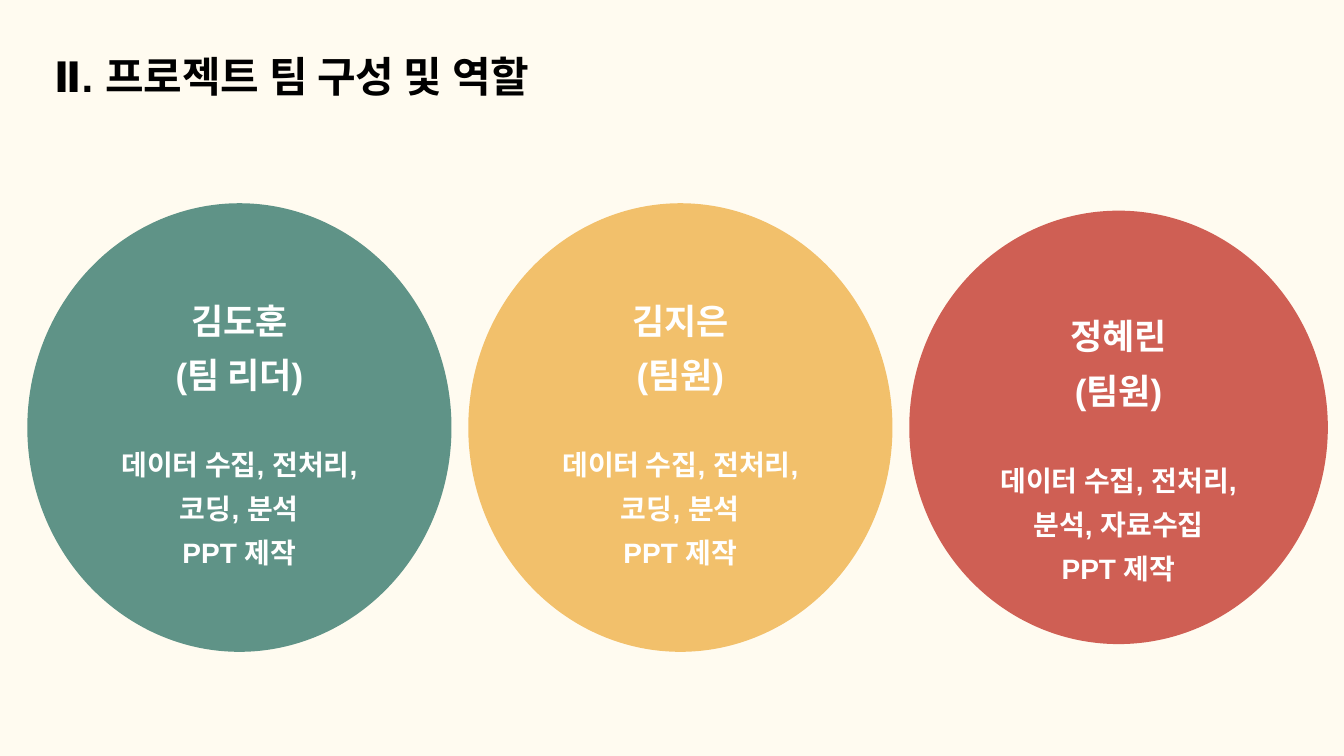
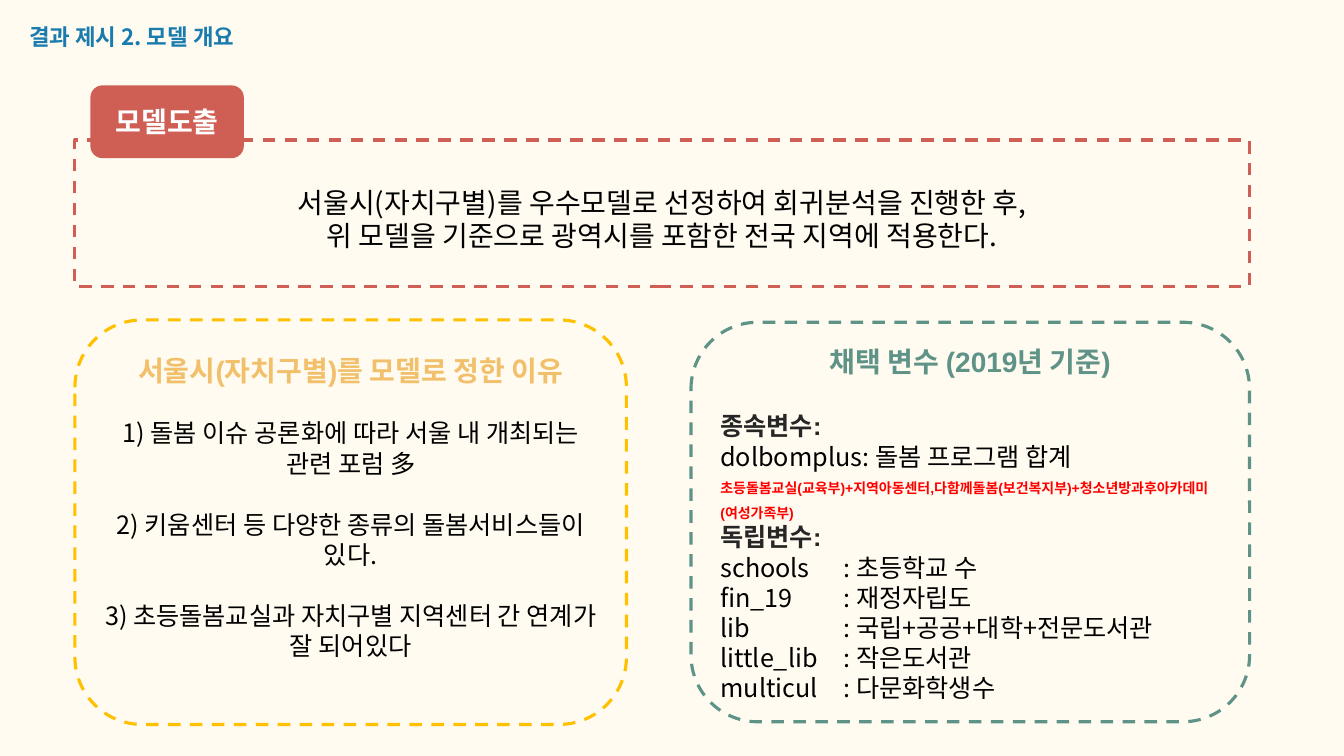
from dataclasses import dataclass

from lxml.etree import SubElement
from pptx import Presentation
from pptx.dml.color import RGBColor
from pptx.enum.dml import MSO_LINE
from pptx.enum.shapes import MSO_SHAPE
from pptx.enum.text import MSO_ANCHOR, PP_ALIGN
from pptx.oxml.ns import qn
from pptx.util import Pt

CREAM, BLACK, CHARCOAL, WHITE = "FFFBF0", "000000", "262626", "FFFFFF"
GREEN, SAND, CORAL = "5F9387", "F2C06B", "CF5F54"
AMBER, BLUE, RED = "FFC000", "1A7BAE", "FF0000"
ARIAL, NOTO, ROBOTO = "Arial", "Noto Sans CJK KR", "Roboto Condensed"
LINE_HEIGHT = 1.2
LEFT, CENTER = PP_ALIGN.LEFT, PP_ALIGN.CENTER


@dataclass(frozen=True)
class Span:
    text: str
    size: float
    color: str = BLACK
    font: str = ARIAL
    bold: bool = True


@dataclass(frozen=True)
class Para:
    spans: tuple[Span, ...]
    align: PP_ALIGN = CENTER
    before: float = 0
    leading: float = 1
    tab: float = 0


@dataclass(frozen=True)
class Box:
    left: float
    top: float
    width: float
    height: float


@dataclass(frozen=True)
class Insets:
    side: float = 7.2
    top: float = 7.2
    bottom: float = 7.2


@dataclass(frozen=True)
class Member:
    name: str
    role: str
    duties: tuple[str, ...]
    color: str
    circle: Box
    insets: Insets


def rgb(color: str) -> RGBColor:
    return RGBColor.from_string(color)


def write(shape, paras: list[Para], insets: Insets = Insets()) -> None:
    frame = shape.text_frame
    frame.margin_left = frame.margin_right = Pt(insets.side)
    frame.margin_top, frame.margin_bottom = Pt(insets.top), Pt(insets.bottom)
    for index, item in enumerate(paras):
        para = frame.add_paragraph() if index else frame.paragraphs[0]
        para.alignment = item.align
        para.space_before = Pt(item.before)
        para.line_spacing = Pt(item.spans[0].size * LINE_HEIGHT * item.leading)
        if item.tab:
            tabs = SubElement(para._p.get_or_add_pPr(), qn("a:tabLst"))
            SubElement(tabs, qn("a:tab"), pos=str(Pt(item.tab)), algn="l")
        for span in item.spans:
            run = para.add_run()
            run.text = span.text
            font = run.font
            font.name, font.size, font.bold = span.font, Pt(span.size), span.bold
            font.color.rgb = rgb(span.color)
            SubElement(run._r.get_or_add_rPr(), qn("a:ea"), typeface=NOTO)


def add_panel(page, kind: MSO_SHAPE, box: Box, paras: list[Para],
              fill: str = "", dash: str = "", insets: Insets = Insets()) -> None:
    """Draw a filled or dashed shape with vertically centred text."""
    shape = page.shapes.add_shape(
        kind, Pt(box.left), Pt(box.top), Pt(box.width), Pt(box.height))
    shape.shadow.inherit = False
    if fill:
        shape.fill.solid()
        shape.fill.fore_color.rgb = rgb(fill)
    else:
        shape.fill.background()
    if dash:
        shape.line.color.rgb = rgb(dash)
        shape.line.width = Pt(2.25)
        shape.line.dash_style = MSO_LINE.DASH
    else:
        shape.line.fill.background()
    shape.text_frame.word_wrap = True
    shape.text_frame.vertical_anchor = MSO_ANCHOR.MIDDLE
    write(shape, paras, insets)


def add_title(page, box: Box, *spans: Span) -> None:
    title = page.shapes.add_textbox(
        Pt(box.left), Pt(box.top), Pt(box.width), Pt(box.height))
    title.text_frame.word_wrap = False
    write(title, [Para(spans, LEFT)])


def body(text: str, size: float = 18, align: PP_ALIGN = CENTER,
         before: float = 0, tab: float = 0) -> Para:
    return Para((Span(text, size, font=NOTO, bold=False),), align, before, tab=tab)


def heading(text: str, color: str, size: float = 20,
            align: PP_ALIGN = CENTER, before: float = 0) -> Para:
    return Para((Span(text, size, color),), align, before)


def add_member(page, member: Member) -> None:
    paras = [Para((Span(text, 25, WHITE),), leading=1.3)
             for text in (member.name, member.role)]
    paras += [Para((Span(duty, 20, WHITE),), before=0 if index else 30, leading=1.3)
              for index, duty in enumerate(member.duties)]
    add_panel(page, MSO_SHAPE.OVAL, member.circle, paras,
              fill=member.color, insets=member.insets)


def build_team(page) -> None:
    add_title(page, Box(31.5, 29, 410, 48), Span("Ⅱ. 프로젝트 팀 구성 및 역할", 30))
    common = ("데이터 수집, 전처리,", "코딩, 분석", "PPT 제작")
    research = ("데이터 수집, 전처리,", "분석, 자료수집", "PPT 제작")
    even, lowered = Insets(7.2, 3.6, 3.6), Insets(7.2, 26.6, 3.6)
    members = (
        Member("김도훈", "(팀 리더)", common, GREEN, Box(19.5, 145.2, 303, 320.4), even),
        Member("김지은", "(팀원)", common, SAND, Box(334.5, 145.2, 303, 320.4), even),
        Member("정혜린", "(팀원)", research, CORAL, Box(649.5, 150.5, 299, 309.6), lowered),
    )
    for member in members:
        add_member(page, member)


def build_model(page) -> None:
    add_title(page, Box(13.7, 9.4, 186, 33),
              Span("결과 ", 16, BLUE, ROBOTO),
              Span("제시 2. 모델 개요", 16, BLUE, NOTO))
    add_panel(page, MSO_SHAPE.RECTANGLE, Box(53.5, 100, 839, 104.6), [
        body("서울시(자치구별)를 우수모델로 선정하여 회귀분석을 진행한 후,", 20),
        body("위 모델을 기준으로 광역시를 포함한 전국 지역에 적용한다.", 20),
    ], dash=CORAL, insets=Insets(top=15))
    add_panel(page, MSO_SHAPE.ROUNDED_RECTANGLE, Box(64.6, 61, 109.6, 52),
              [heading("모델도출", WHITE)], fill=CORAL)

    reasons = (
        "1) 돌봄 이슈 공론화에 따라 서울 내 개최되는 관련 포럼 多",
        "2) 키움센터 등 다양한 종류의 돌봄서비스들이 있다.",
        "3) 초등돌봄교실과 자치구별 지역센터 간 연계가 잘 되어있다",
    )
    add_panel(page, MSO_SHAPE.ROUNDED_RECTANGLE, Box(53.5, 228.5, 394, 289), [
        heading("서울시(자치구별)를 모델로 정한 이유", SAND),
        *(body(reason, before=22) for reason in reasons),
    ], dash=AMBER, insets=Insets(bottom=28.8))

    variables = (
        ("schools", "초등학교 수"),
        ("fin_19", "재정자립도"),
        ("lib", "국립+공공+대학+전문도서관"),
        ("little_lib", "작은도서관"),
        ("multicul", "다문화학생수"),
    )
    sources = "초등돌봄교실(교육부)+지역아동센터,다함께돌봄(보건복지부)+청소년방과후아카데미(여성가족부)"
    add_panel(page, MSO_SHAPE.ROUNDED_RECTANGLE, Box(493.6, 230.2, 399, 285.4), [
        heading("채택 변수 (2019년 기준)", GREEN),
        heading("종속변수:", CHARCOAL, 18, LEFT, before=23),
        body("dolbomplus: 돌봄 프로그램 합계", align=LEFT),
        Para((Span(sources, 10, RED),), LEFT, leading=1.5),
        heading("독립변수:", CHARCOAL, 18, LEFT),
        *(body(f"{name}\t: {meaning}", align=LEFT, tab=88) for name, meaning in variables),
    ], dash=GREEN, insets=Insets(top=10))


def main() -> None:
    deck = Presentation()
    deck.slide_width, deck.slide_height = Pt(960), Pt(540)
    background = deck.slide_master.background.fill
    background.solid()
    background.fore_color.rgb = rgb(CREAM)
    blank = deck.slide_layouts[6]
    for build in (build_team, build_model):
        build(deck.slides.add_slide(blank))
    deck.save("out.pptx")


if __name__ == "__main__":
    main()
